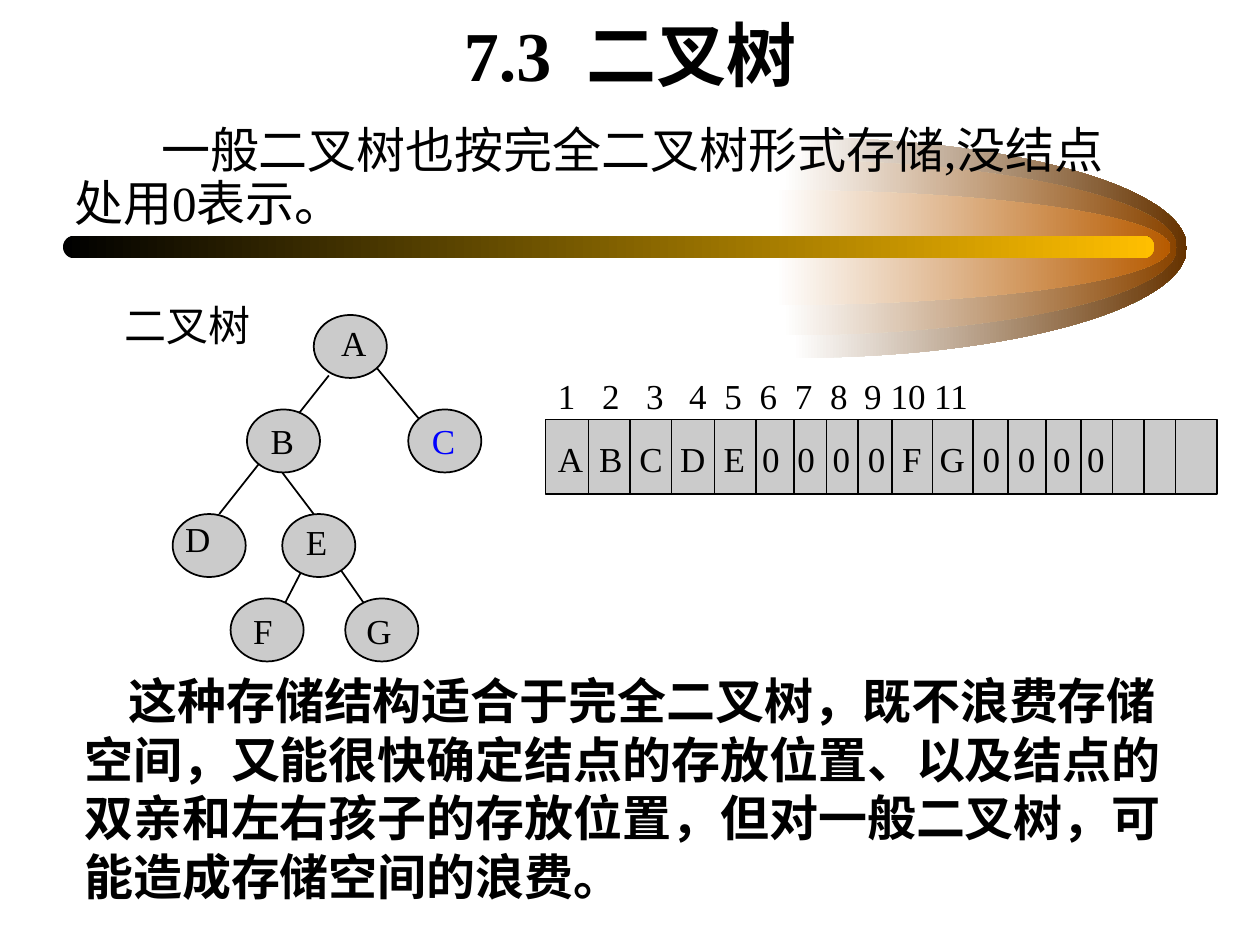
import pptx
import pptx.dml.color
import pptx.enum.shapes
import pptx.enum.text
import pptx.oxml.ns
import pptx.util
from lxml import etree

Inches = pptx.util.Inches
Pt = pptx.util.Pt
qn = pptx.oxml.ns.qn
Shapes = pptx.enum.shapes.MSO_SHAPE

SERIF, SANS = "Times New Roman", "Noto Sans CJK SC"
BLACK, GREY, BLUE = "000000", "CBCBCB", "0000FF"

TITLE = "7.3  二叉树"
LEAD = "一般二叉树也按完全二叉树形式存储,没结点处用0表示。"
TREE_CAPTION = "二叉树"
CONCLUSION = ("这种存储结构适合于完全二叉树，既不浪费存储空间，又能很快确定结点的存放位置、"
              "以及结点的双亲和左右孩子的存放位置，但对一般二叉树，可能造成存储空间的浪费。")

# Half ellipses that share one axis: left, top, height, colour of the right end
GLOWS = [(6.29, 1.09, 1.75, "663300"), (6.21, 1.27, 1.39, "894400"),
         (6.16, 1.51, 0.91, "B75B00")]
GLOW_WIDTH = 3.13
CURVE = 0.55  # handle length of a quarter ellipse, as a share of its radius

# Node: left and top of its ellipse, left and top of its letter's box, letter colour
NODE_SIZE = (0.58, 0.5)
NODES = {
    "A": (2.49, 2.5, 2.61, 2.5, BLACK),
    "B": (1.96, 3.25, 2.05, 3.28, BLACK),
    "C": (3.24, 3.25, 3.33, 3.28, BLUE),
    "D": (1.37, 4.08, 1.37, 4.06, BLACK),
    "E": (2.24, 4.08, 2.33, 4.08, BLACK),
    "F": (1.83, 4.75, 1.91, 4.79, BLACK),
    "G": (2.74, 4.75, 2.81, 4.79, BLACK),
}
EDGES = [
    (2.61, 2.98, 1.74, 4.08), (2.99, 2.92, 3.33, 3.33), (2.24, 3.75, 2.49, 4.08),
    (2.41, 4.5, 2.24, 4.83), (2.66, 4.46, 2.89, 4.79),
]

# Array rows: entries, and the centres of all entries after the first
ARRAY_ROWS = [
    ([str(number) for number in range(1, 12)],
     [4.85, 5.2, 5.54, 5.82, 6.1, 6.38, 6.66, 6.93, 7.21, 7.55]),
    (list("ABCDE0000FG0000"),
     [4.85, 5.17, 5.5, 5.83, 6.12, 6.4, 6.68, 6.96, 7.24, 7.56, 7.87, 8.15, 8.43, 8.7]),
]
CELL_EDGES = [4.33, 4.67, 5, 5.33, 5.67, 6, 6.3, 6.56, 6.81, 7.08, 7.4, 7.72,
              8, 8.3, 8.58, 8.83, 9.08, 9.33, 9.66]
ARRAY_TOP, ARRAY_BOTTOM = 3.33, 3.92
TEXT_INSET = 0.1


def rgb(value):
    return pptx.dml.color.RGBColor.from_string(value)


def style(shape, fill, line=None):
    """Fill with one colour or a left-to-right pair; outline if asked."""
    shape.shadow.inherit = False
    if isinstance(fill, tuple):
        shape.fill.gradient()
        shape.fill.gradient_angle = 0
        for stop, colour in zip(shape.fill.gradient_stops, fill):
            stop.color.rgb = rgb(colour)
    else:
        shape.fill.solid()
        shape.fill.fore_color.rgb = rgb(fill)
    if line:
        shape.line.color.rgb = rgb(line)
        shape.line.width = Pt(1)
    else:
        shape.line.fill.background()


def add_preset(slide, kind, box, fill, line=None):
    shape = slide.shapes.add_shape(kind, *map(Inches, box))
    style(shape, fill, line)
    return shape


def add_glow(slide, left, top, height, colour):
    """Draw the right half of an ellipse as two quarter curves."""
    x, y, width, radius = map(Inches, (left, top, GLOW_WIDTH, height / 2))
    builder = slide.shapes.build_freeform(x, y)
    builder.add_line_segments([(x + width, y + radius), (x, y + 2 * radius)])
    shape = builder.convert_to_shape()
    quarters = [
        [(CURVE * width, 0), (width, (1 - CURVE) * radius), (width, radius)],
        [(width, (1 + CURVE) * radius), (CURVE * width, 2 * radius), (0, 2 * radius)],
    ]
    for segment, points in zip(list(shape._element.iter(qn("a:lnTo"))), quarters):
        curve = etree.Element(qn("a:cubicBezTo"))
        for point_x, point_y in points:
            etree.SubElement(curve, qn("a:pt"), x=str(int(point_x)), y=str(int(point_y)))
        segment.getparent().replace(segment, curve)
    style(shape, ("FFFFFF", colour))


def add_line(slide, *ends):
    line = slide.shapes.add_connector(
        pptx.enum.shapes.MSO_CONNECTOR.STRAIGHT, *map(Inches, ends))
    line.line.color.rgb = rgb(BLACK)
    line.line.width = Pt(1)
    etree.SubElement(line._element.spPr, qn("a:effectLst"))


def add_text(slide, box, lines, size, colour=BLACK, font=SERIF, bold=False,
             before=0, indent=0):
    text_box = slide.shapes.add_textbox(*map(Inches, box))
    frame = text_box.text_frame
    frame.word_wrap = True
    frame.text = "\n".join(lines)
    for paragraph in frame.paragraphs:
        paragraph.space_before = Pt(before)
        paragraph.font.size = Pt(size)
        paragraph.font.name = font
        paragraph.font.bold = bold
        paragraph.font.color.rgb = rgb(colour)
        if indent:
            paragraph._p.get_or_add_pPr().set("indent", str(Inches(indent)))
    return frame


def add_centred_tabs(paragraph, positions):
    tabs = etree.Element(qn("a:tabLst"))
    for position in positions:
        etree.SubElement(tabs, qn("a:tab"), pos=str(Inches(position)), algn="ctr")
    paragraph._p.get_or_add_pPr().find(qn("a:defRPr")).addprevious(tabs)


def add_tree(slide):
    for edge in EDGES:
        add_line(slide, *edge)
    for letter, (left, top, text_left, text_top, colour) in NODES.items():
        add_preset(slide, Shapes.OVAL, (left, top, *NODE_SIZE), GREY, BLACK)
        add_text(slide, (text_left, text_top, 0.58, 0.44), [letter], 20, colour, before=12.5)
    add_text(slide, (0.67, 2.33, 2, 0.5), [TREE_CAPTION], 24, before=15, indent=0.22)


def add_array(slide):
    left, right = CELL_EDGES[0], CELL_EDGES[-1]
    add_preset(slide, Shapes.RECTANGLE,
               (left, ARRAY_TOP, right - left, ARRAY_BOTTOM - ARRAY_TOP), GREY, BLACK)
    for x in CELL_EDGES[1:-1]:
        add_line(slide, x, ARRAY_TOP, x, ARRAY_BOTTOM)
    rows = ["\t".join(entries) for entries, _ in ARRAY_ROWS]
    frame = add_text(slide, (left, 2.92, 5.5, 0.94), rows, 20, before=12.5)
    for paragraph, (_, centres) in zip(frame.paragraphs, ARRAY_ROWS):
        add_centred_tabs(paragraph, [centre - left - TEXT_INSET for centre in centres])


def main():
    presentation = pptx.Presentation()
    presentation.slide_width, presentation.slide_height = Inches(10), Inches(7.5)
    slide = presentation.slides.add_slide(presentation.slide_layouts[6])

    for glow in GLOWS:
        add_glow(slide, *glow)
    bar = add_preset(slide, Shapes.ROUNDED_RECTANGLE, (0.5, 1.87, 8.66, 0.18),
                     (BLACK, "FFBF00"))
    bar.adjustments[0] = 0.5

    title = add_text(slide, (0.75, 0.06, 8.5, 0.75), [TITLE], 40, bold=True)
    title.vertical_anchor = pptx.enum.text.MSO_ANCHOR.BOTTOM
    title.paragraphs[0].alignment = pptx.enum.text.PP_ALIGN.CENTER
    add_text(slide, (0.57, 5.27, 8.92, 2), [CONCLUSION], 28, font=SANS, bold=True,
             before=7, indent=0.35)
    add_tree(slide)
    add_array(slide)
    lead = add_text(slide, (0.49, 0.95, 8.58, 0.94), [LEAD], 28, before=17.5, indent=0.69)
    lead.paragraphs[0].line_spacing = 0.9

    presentation.save("out.pptx")


if __name__ == "__main__":
    main()
